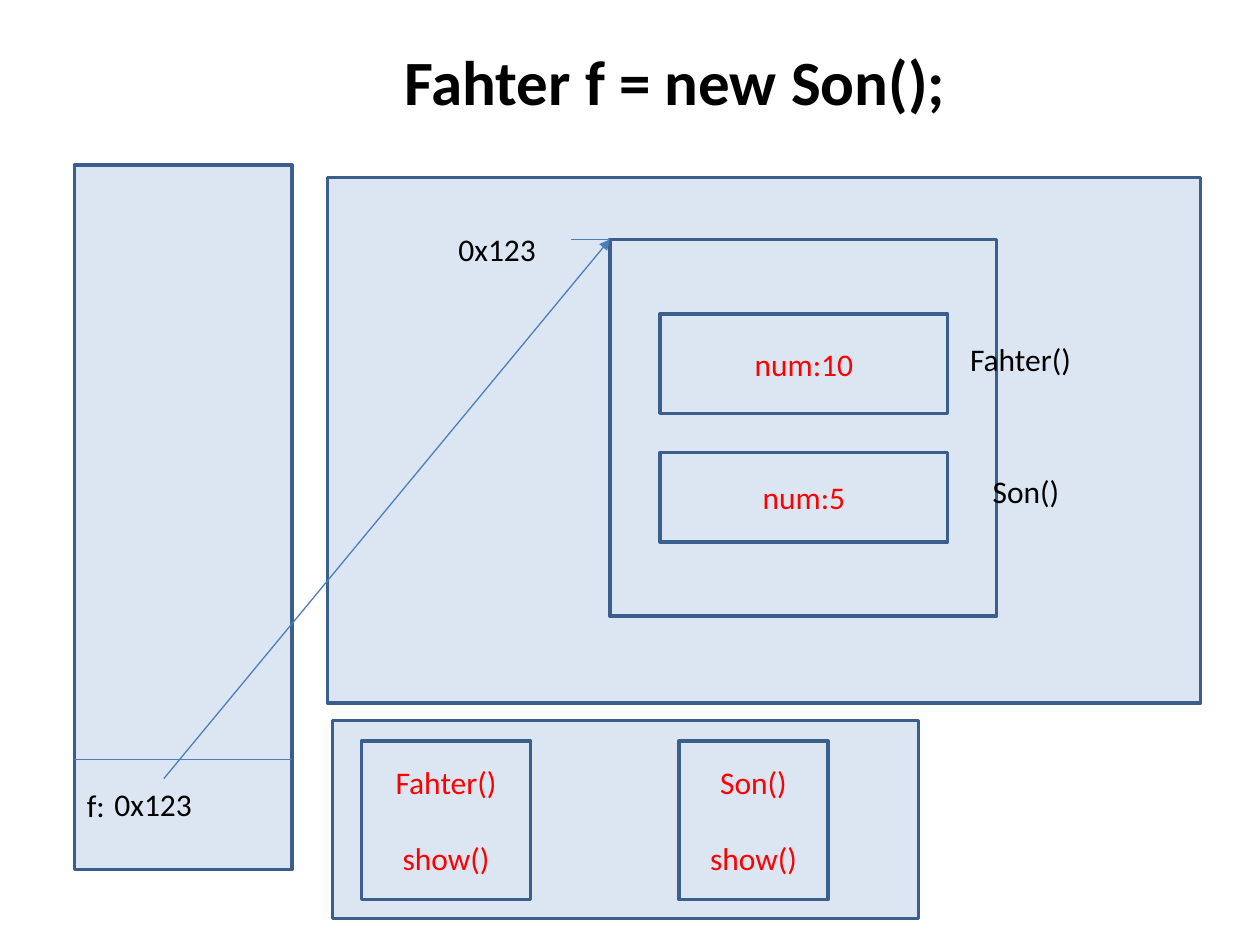
from pptx import Presentation
from pptx.dml.color import RGBColor
from pptx.enum.shapes import MSO_CONNECTOR, MSO_SHAPE
from pptx.enum.text import MSO_ANCHOR, PP_ALIGN
from pptx.oxml.ns import qn
from pptx.util import Inches, Pt

RECTANGLE, STRAIGHT = MSO_SHAPE.RECTANGLE, MSO_CONNECTOR.STRAIGHT
MIDDLE, TOP = MSO_ANCHOR.MIDDLE, MSO_ANCHOR.TOP
CENTER, LEFT = PP_ALIGN.CENTER, PP_ALIGN.LEFT

THEME = {
    "font": "Calibri", "title": 36, "body": 18, "line_gap": 22,
    "panel": "DCE6F2", "border": "3A5F8C", "arrow": "4B7EBC",
    "text": "000000", "member": "FF0000",
    "border_width": 2, "arrow_width": 0.75,
}

# The slide is a grid of 100 columns by 75 rows
COLUMNS, ROWS = 100, 75
SLIDE_WIDTH, SLIDE_HEIGHT = Inches(10), Inches(7.5)

# Content: left column, top row, columns wide, rows high
STACK = (5.9, 13.1, 17.3, 55.9)
HEAP = (26, 14.1, 69.3, 41.7)
METHOD_AREA = (26.4, 57.2, 46.5, 15.7)
SON_OBJECT = (48.4, 19, 30.7, 29.9)
METHOD_ROW, METHOD_HEIGHT = 58.8, 12.6
FIELD_COLUMN, FIELD_WIDTH = 52.4, 22.8
METHODS = [  # left column, columns wide, lines
    (28.7, 13.4, ["Fahter()", "show()"]),
    (53.9, 11.8, ["Son()", "show()"]),
]
FIELDS = [  # top row, rows high, line
    (24.9, 7.9, "num:10"),
    (35.9, 7.1, "num:5"),
]
TITLE = ("Fahter f = new Son();", 31.1, 2.9, 78)
LABEL_HEIGHT, TITLE_HEIGHT = 4, 7.1
LABELS = [  # text, left column, top row, columns wide
    ("f:", 5.9, 61.9, 20.5),
    ("Fahter()", 76, 26.5, 22.8),
    ("Son()", 77.8, 37, 14.2),
    ("0x123", 35.4, 17.8, 9.8),
]
POINTER = ("0x123", 8.1, 61.8, 9.8)
DIVIDER_ROW = 60.3
TICK_COLUMNS = 3.1


def across(columns):
    return round(SLIDE_WIDTH * columns / COLUMNS)


def down(rows):
    return round(SLIDE_HEIGHT * rows / ROWS)


def place(left, top, width, height):
    return across(left), down(top), across(width), down(height)


def color(name):
    return RGBColor.from_string(THEME[name])


def write(shape, lines, size, ink, align, anchor, bold=False):
    frame = shape.text_frame
    frame.word_wrap = True
    frame.vertical_anchor = anchor
    for index, line in enumerate(lines):
        para = frame.add_paragraph() if index else frame.paragraphs[0]
        para.text = line
        para.alignment = align
        if index:
            para.space_before = Pt(THEME["line_gap"])
        para.font.name = THEME["font"]
        para.font.size = Pt(THEME[size])
        para.font.bold = bold
        para.font.color.rgb = color(ink)


def add_block(page, area, lines=()):
    block = page.shapes.add_shape(RECTANGLE, *place(*area))
    block.shadow.inherit = False
    block.fill.solid()
    block.fill.fore_color.rgb = color("panel")
    block.line.color.rgb = color("border")
    block.line.width = Pt(THEME["border_width"])
    write(block, lines, "body", "member", CENTER, MIDDLE)


def add_label(page, text, left, top, width, height=LABEL_HEIGHT,
              size="body", bold=False):
    label = page.shapes.add_textbox(*place(left, top, width, height))
    write(label, [text], size, "text", LEFT, TOP, bold)
    return label


def add_line(page, start, end):
    line = page.shapes.add_connector(
        STRAIGHT, across(start[0]), down(start[1]), across(end[0]), down(end[1]))
    line.line.color.rgb = color("arrow")
    line.line.width = Pt(THEME["arrow_width"])
    properties = line._element.spPr
    properties.append(properties.makeelement(qn("a:effectLst"), {}))
    return line


def main():
    deck = Presentation()
    deck.slide_width, deck.slide_height = SLIDE_WIDTH, SLIDE_HEIGHT
    page = deck.slides.add_slide(deck.slide_layouts[6])

    # Memory areas, then the object on the heap
    for area in (STACK, HEAP, METHOD_AREA, SON_OBJECT):
        add_block(page, area)

    # Class methods and object fields
    for left, width, lines in METHODS:
        add_block(page, (left, METHOD_ROW, width, METHOD_HEIGHT), lines)
    for top, height, line in FIELDS:
        add_block(page, (FIELD_COLUMN, top, FIELD_WIDTH, height), [line])

    # Title and labels
    add_label(page, *TITLE, height=TITLE_HEIGHT, size="title", bold=True)
    for label in LABELS:
        add_label(page, *label)
    pointer = add_label(page, *POINTER)

    # Stack divider and address tick
    stack_left, stack_width = STACK[0], STACK[2]
    add_line(page, (stack_left, DIVIDER_ROW),
             (stack_left + stack_width, DIVIDER_ROW))
    corner = SON_OBJECT[:2]
    add_line(page, corner, (corner[0] - TICK_COLUMNS, corner[1]))

    # Reference from the stack to the object's corner
    name, left, top, width = POINTER
    reference = add_line(page, (left + width / 2, top), corner)
    reference.begin_connect(pointer, 0)
    outline = reference.line._get_or_add_ln()
    outline.append(outline.makeelement(qn("a:tailEnd"), {"type": "triangle"}))

    deck.save("out.pptx")


if __name__ == "__main__":
    main()
